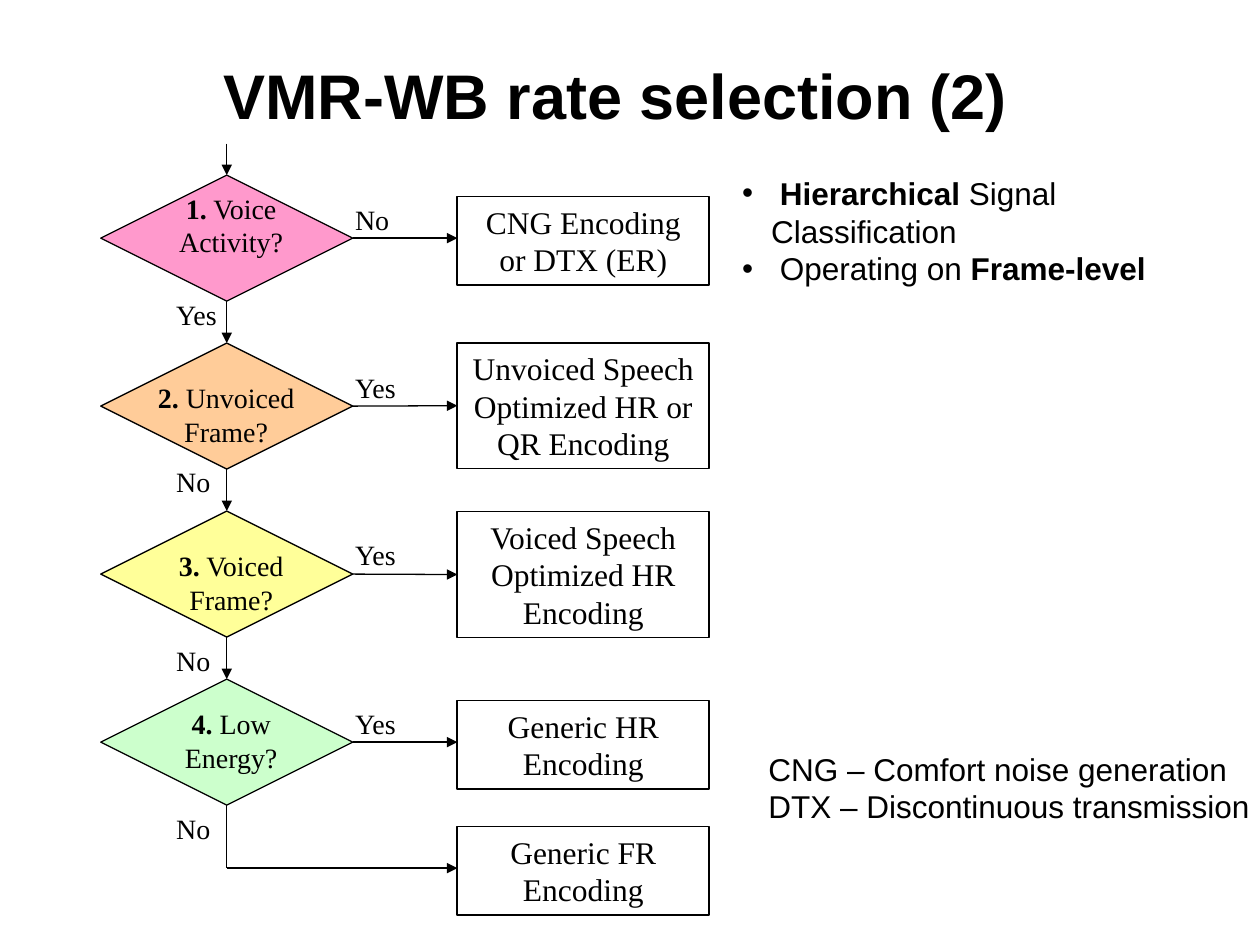
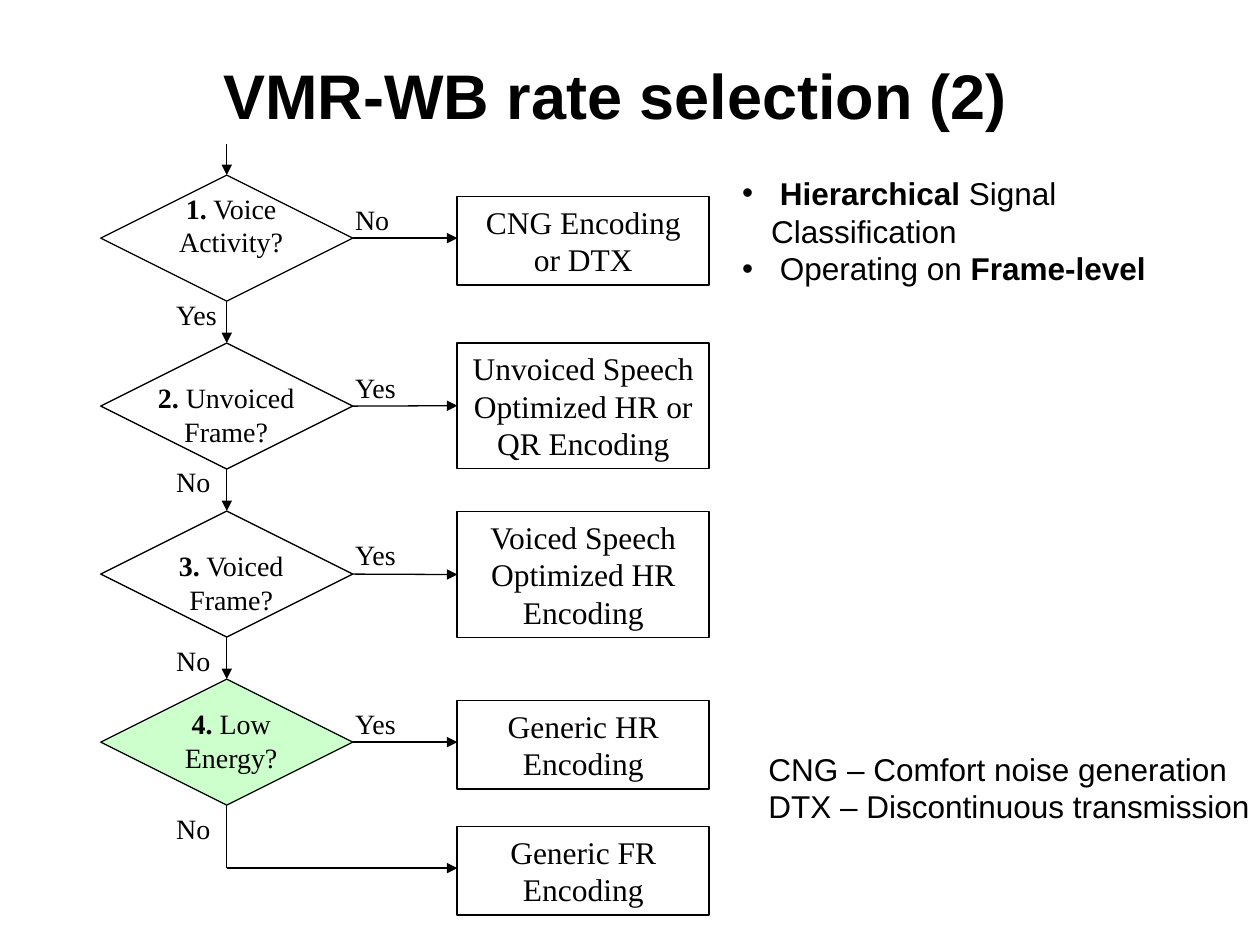
from lxml.etree import SubElement
from pptx import Presentation
from pptx.dml.color import RGBColor
from pptx.enum.shapes import MSO_CONNECTOR, MSO_SHAPE
from pptx.enum.text import MSO_ANCHOR, MSO_AUTO_SIZE, PP_ALIGN
from pptx.oxml.ns import qn
from pptx.util import Inches, Pt

COLORS = {"ink": "000000", "pink": "FF99CC", "orange": "FFCC99",
          "yellow": "FFFF99", "green": "CCFFCC"}
INK = RGBColor.from_string(COLORS["ink"])
STYLES = {
    "title": {"name": "Arial", "size": Pt(36), "bold": True},
    "notes": {"name": "Arial", "size": Pt(18)},
    "outcome": {"name": "Times New Roman", "size": Pt(18)},
    "flow": {"name": "Times New Roman", "size": Pt(16)},
}

# Grid of the flow chart, in inches
ROW_PITCH = 4 / 3
ROW_CENTERS = [1.89 + row * ROW_PITCH for row in range(4)]
DIAMOND_LEFT, OUTCOME_LEFT = 0.8, 3.63
NODE_WIDTH, NODE_HEIGHT, SHORT_HEIGHT = 2, 1, 0.7
FLOW_X = DIAMOND_LEFT + NODE_WIDTH / 2
LAST_Y = ROW_CENTERS[-1] + 1
TOP, LEFT, BOTTOM, RIGHT = range(4)

# Number, question, text left, text width, text top below the row center
QUESTIONS = [
    ("1.", " Voice Activity?", 1.22, 1.23, -0.42),
    ("2.", " Unvoiced Frame?", 1.13, 1.33, -0.25),
    ("3.", " Voiced Frame?", 1.22, 1.23, -0.25),
    ("4.", " Low Energy?", 1.22, 1.23, -0.33),
]
# Text, top, height
OUTCOMES = [
    (None, 1.56, SHORT_HEIGHT),
    ("Unvoiced Speech Optimized HR or QR Encoding", 2.72, NODE_HEIGHT),
    ("Voiced Speech Optimized HR Encoding", 4.06, NODE_HEIGHT),
    ("Generic HR Encoding", 5.56, SHORT_HEIGHT),
    ("Generic FR Encoding", 6.56, SHORT_HEIGHT),
]
# Text, left, top
ANSWERS = [
    ("No", 2.72, 1.56), ("Yes", 2.72, 2.89), ("Yes", 2.72, 4.22), ("Yes", 2.72, 5.56),
    ("Yes", 1.3, 2.31), ("No", 1.3, 3.64), ("No", 1.3, 5.06), ("No", 1.3, 6.39),
]
ANSWER_WIDTHS = {"Yes": 0.54, "No": 0.47}
FEATURES = [
    [(" ", False), ("Hierarchical", True), (" Signal Classification", False)],
    [(" Operating on ", False), ("Frame-level", True)],
]
ABBREVIATIONS = [
    [("CNG – Comfort noise generation", False)],
    [("DTX – Discontinuous transmission", False)],
]
# First outcome, diamond fills
SLIDES = [
    ("CNG Encoding or DTX (ER)", ["pink", "orange", "yellow", "green"]),
    ("CNG Encoding or DTX", [None, None, None, "green"]),
]


def write(shape, paragraphs, style, align=PP_ALIGN.LEFT, wrap=True, anchor=MSO_ANCHOR.TOP):
    """Fill a shape with paragraphs, each a list of (text, bold) runs."""
    frame = shape.text_frame
    settings = {"auto_size": MSO_AUTO_SIZE.NONE, "word_wrap": wrap, "vertical_anchor": anchor,
                "margin_left": Inches(0.1), "margin_right": Inches(0.1),
                "margin_top": Inches(0.05), "margin_bottom": Inches(0.05)}
    for name, value in settings.items():
        setattr(frame, name, value)
    for index, runs in enumerate(paragraphs):
        paragraph = frame.paragraphs[0] if index == 0 else frame.add_paragraph()
        paragraph.alignment = align
        paragraph.space_before = Pt(0)
        for text, bold in runs:
            run = paragraph.add_run()
            run.text = text
            run.font.color.rgb = INK
            for name, value in {"bold": bold, **STYLES[style]}.items():
                setattr(run.font, name, value)


def add_line(slide, x1, y1, x2, y2, arrow=True):
    line = slide.shapes.add_connector(
        MSO_CONNECTOR.STRAIGHT, Inches(x1), Inches(y1), Inches(x2), Inches(y2))
    line.line.color.rgb = INK
    line.line.width = Pt(0.75)
    if arrow:
        SubElement(line.line._get_or_add_ln(), qn("a:tailEnd"), type="triangle")
    SubElement(line._element.spPr, qn("a:effectLst"))
    return line


presentation = Presentation()
presentation.slide_width, presentation.slide_height = Inches(10), Inches(7.5)

for first_outcome, fills in SLIDES:
    slide = presentation.slides.add_slide(presentation.slide_layouts[1])
    title, features = slide.shapes.title, slide.placeholders[1]
    for placeholder, bounds in ((title, (1.38, 0.21, 7.01, 1.07)),
                                (features, (5.79, 1.33, 4.12, 1))):
        for name, value in zip(("left", "top", "width", "height"), bounds):
            setattr(placeholder, name, Inches(value))
    write(title, [[("VMR-WB rate selection (2)", True)]], "title",
          PP_ALIGN.CENTER, anchor=MSO_ANCHOR.MIDDLE)
    write(features, FEATURES, "notes")
    for paragraph in features.text_frame.paragraphs:
        properties = paragraph._p.get_or_add_pPr()
        properties.set("marL", str(Inches(0.23)))
        properties.set("indent", str(-Inches(0.23)))

    diamonds = []
    for center, fill, question in zip(ROW_CENTERS, fills, QUESTIONS):
        number, text, text_left, text_width, text_offset = question
        diamond = slide.shapes.add_shape(
            MSO_SHAPE.DIAMOND, Inches(DIAMOND_LEFT), Inches(center - NODE_HEIGHT / 2),
            Inches(NODE_WIDTH), Inches(NODE_HEIGHT))
        diamond.shadow.inherit = False
        diamond.line.color.rgb = INK
        diamond.line.width = Pt(0.75)
        if fill:
            diamond.fill.solid()
            diamond.fill.fore_color.rgb = RGBColor.from_string(COLORS[fill])
        else:
            diamond.fill.background()
        diamonds.append(diamond)
        label = slide.shapes.add_textbox(
            Inches(text_left), Inches(center + text_offset), Inches(text_width), Inches(0.64))
        write(label, [[(number, True), (text, False)]], "flow", PP_ALIGN.CENTER)

    outcomes = []
    for text, top, height in OUTCOMES:
        outcome = slide.shapes.add_shape(
            MSO_SHAPE.RECTANGLE, Inches(OUTCOME_LEFT), Inches(top),
            Inches(NODE_WIDTH), Inches(height))
        outcome.shadow.inherit = False
        outcome.fill.background()
        outcome.line.color.rgb = INK
        outcome.line.width = Pt(1)
        write(outcome, [[(text or first_outcome, False)]], "outcome", PP_ALIGN.CENTER)
        outcomes.append(outcome)

    for center, diamond, outcome in zip(ROW_CENTERS, diamonds, outcomes):
        arrow = add_line(slide, DIAMOND_LEFT + NODE_WIDTH, center, OUTCOME_LEFT, center)
        arrow.begin_connect(diamond, RIGHT)
        if outcome.height == Inches(NODE_HEIGHT):
            arrow.end_connect(outcome, LEFT)

    entry = add_line(slide, FLOW_X, 1.14, FLOW_X, ROW_CENTERS[0] - NODE_HEIGHT / 2)
    entry.end_connect(diamonds[0], TOP)
    for center, upper, lower in zip(ROW_CENTERS, diamonds, diamonds[1:]):
        bottom = center + NODE_HEIGHT / 2
        arrow = add_line(slide, FLOW_X, bottom, FLOW_X, bottom + ROW_PITCH - NODE_HEIGHT)
        arrow.begin_connect(upper, BOTTOM)
        arrow.end_connect(lower, TOP)
    descent = add_line(slide, FLOW_X, LAST_Y - NODE_HEIGHT / 2, FLOW_X, LAST_Y, arrow=False)
    descent.begin_connect(diamonds[-1], BOTTOM)
    add_line(slide, FLOW_X, LAST_Y, OUTCOME_LEFT, LAST_Y)

    for text, left, top in ANSWERS:
        answer = slide.shapes.add_textbox(
            Inches(left), Inches(top), Inches(ANSWER_WIDTHS[text]), Inches(0.37))
        write(answer, [[(text, False)]], "flow", wrap=False)

    abbreviations = slide.shapes.add_textbox(Inches(6), Inches(5.9), Inches(4.02), Inches(0.7))
    write(abbreviations, ABBREVIATIONS, "notes", wrap=False)

presentation.save("out.pptx")
